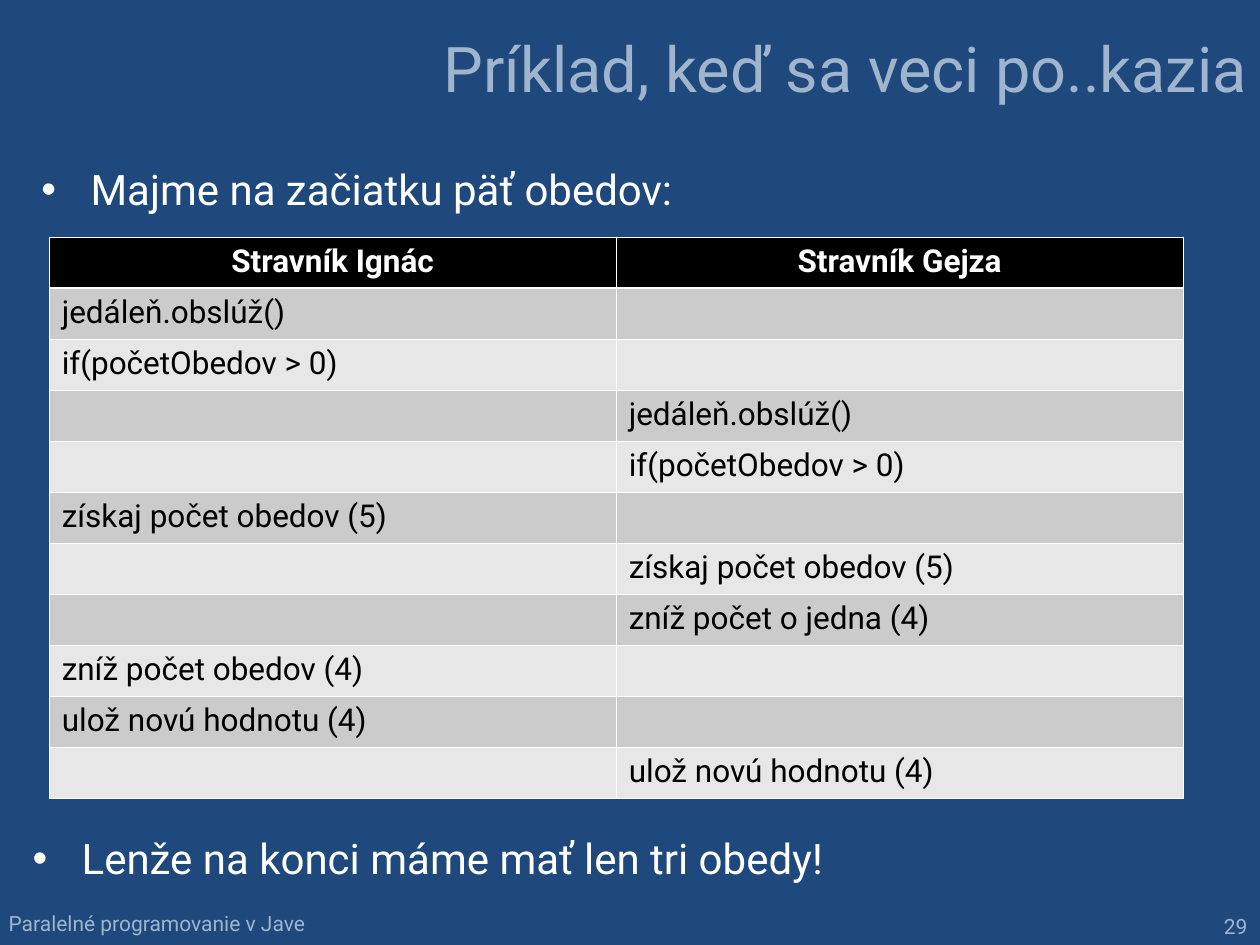
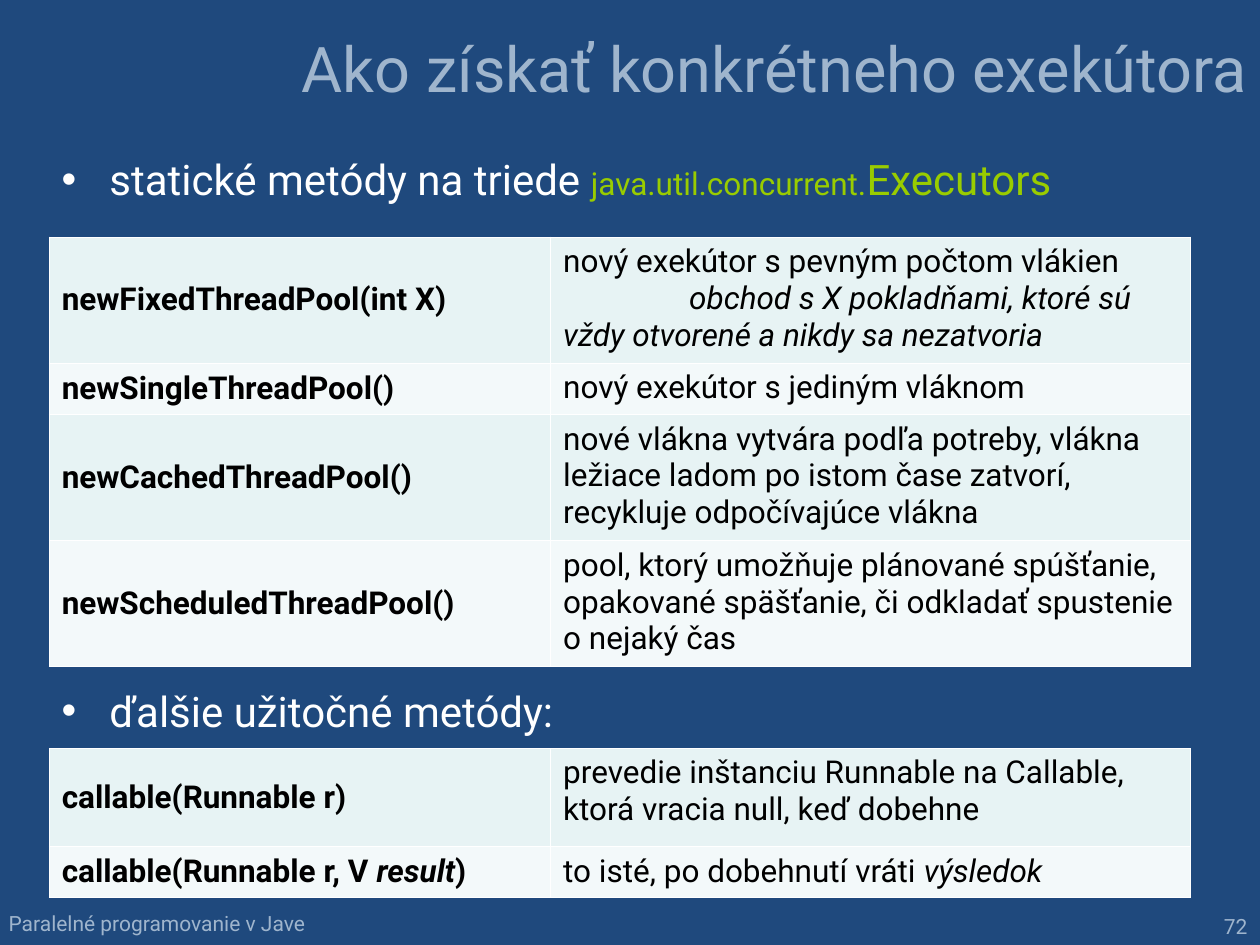
import lxml.etree
import pptx
import pptx.dml.color
import pptx.enum.text
import pptx.oxml.ns
import pptx.util

Inches = pptx.util.Inches
Pt = pptx.util.Pt
RGBColor = pptx.dml.color.RGBColor
ALIGN = pptx.enum.text.PP_ALIGN
ANCHOR = pptx.enum.text.MSO_ANCHOR
qn = pptx.oxml.ns.qn

NAVY = RGBColor(0x1F, 0x49, 0x7D)
MUTED = RGBColor(0x9F, 0xB5, 0xCD)
WHITE = RGBColor(0xFF, 0xFF, 0xFF)
BLACK = RGBColor(0x00, 0x00, 0x00)
GREEN = RGBColor(0x99, 0xCC, 0x00)
GRAY_BANDS = (RGBColor(0xCB, 0xCB, 0xCB), RGBColor(0xE7, 0xE7, 0xE7))
MINT_BANDS = (RGBColor(0xE7, 0xF3, 0xF4), RGBColor(0xF3, 0xF9, 0xFA))

FONT = "Roboto"
COURSE = "Paralelné programovanie v Jave"
THIN, THICK = 0.45, 1.47
TABLE_LEFT, TABLE_TOP = 0.39, 1.88


def write(p, text, size=18, color=BLACK, bold=False, italic=False):
    r = p.add_run()
    r.text = text
    r.font.name = FONT
    r.font.size = Pt(size)
    r.font.color.rgb = color
    r.font.bold = bold
    r.font.italic = italic


def write_runs(p, content, **fmt):
    """Write a string, or a list of (text, own format) pairs, into a paragraph."""
    runs = [(content, {})] if isinstance(content, str) else content
    for text, own in runs:
        write(p, text, **{**fmt, **own})


def set_indent(p, left, first):
    pPr = p._p.get_or_add_pPr()
    pPr.set("marL", str(Inches(left)))
    pPr.set("indent", str(Inches(first)))
    return pPr


def set_border(cell, side, width):
    tcPr = cell._tc.get_or_add_tcPr()
    ln = lxml.etree.SubElement(tcPr, qn("a:ln" + side), w=str(Pt(width)))
    fill = lxml.etree.SubElement(ln, qn("a:solidFill"))
    lxml.etree.SubElement(fill, qn("a:srgbClr"), val=str(WHITE))


class Deck:
    def __init__(self):
        self.prs = pptx.Presentation()
        self.prs.slide_width = Inches(10)
        self.prs.slide_height = Inches(7.5)
        self.s = None

    def add_slide(self, title, number):
        self.s = self.prs.slides.add_slide(self.prs.slide_layouts[6])
        fill = self.s.background.fill
        fill.solid()
        fill.fore_color.rgb = NAVY
        self.text(COURSE, -0.03, 7.18, 2.92, 0.3, size=12, color=MUTED)
        self.text(str(number), 6.97, 7.2, 3.03, 0.33, align=ALIGN.RIGHT,
                  size=12, color=MUTED)
        self.text(title, 1.14, 0, 8.86, 1.07, align=ALIGN.RIGHT,
                  anchor=ANCHOR.MIDDLE, size=36, color=MUTED)

    def text(self, content, left, top, width, height, align=ALIGN.LEFT,
             anchor=ANCHOR.TOP, bullet_indent=None, **fmt):
        sp = self.s.shapes.add_textbox(Inches(left), Inches(top),
                                       Inches(width), Inches(height))
        tf = sp.text_frame
        tf.word_wrap = True
        tf.vertical_anchor = anchor
        p = tf.paragraphs[0]
        p.alignment = align
        if bullet_indent:
            pPr = set_indent(p, bullet_indent, -bullet_indent)
            lxml.etree.SubElement(pPr, qn("a:buFont"), typeface="Arial")
            lxml.etree.SubElement(pPr, qn("a:buChar"), char="•")
        write_runs(p, content, **fmt)

    def bullet(self, content, left, top, width, height=0.7, indent=0.38):
        self.text(content, left, top, width, height, bullet_indent=indent,
                  size=24, color=WHITE)

    def cell(self, cell, paragraphs, fill, align=ALIGN.LEFT,
             anchor=ANCHOR.TOP, top=THIN, bottom=THIN, **fmt):
        """Fill a cell; each paragraph after the first has its first line indented."""
        for side, width in (("L", THIN), ("R", THIN), ("T", top), ("B", bottom)):
            set_border(cell, side, width)
        cell.fill.solid()
        cell.fill.fore_color.rgb = fill
        cell.vertical_anchor = anchor
        cell.margin_left = cell.margin_right = Inches(0.1)
        cell.margin_top = cell.margin_bottom = Inches(0.05)
        tf = cell.text_frame
        for i, content in enumerate(paragraphs):
            p = tf.add_paragraph() if i else tf.paragraphs[0]
            p.alignment = align
            if i:
                set_indent(p, 0, 1)
            if content:
                write_runs(p, content, **fmt)

    def grid(self, top, widths, heights):
        tbl = self.s.shapes.add_table(
            len(heights), len(widths), Inches(TABLE_LEFT), Inches(top),
            Inches(sum(widths)), Inches(sum(heights))).table
        tbl.first_row = tbl.horz_banding = False
        for column, width in zip(tbl.columns, widths):
            column.width = Inches(width)
        for row, height in zip(tbl.rows, heights):
            row.height = Inches(height)
        return tbl

    def timeline(self, actors, steps):
        """Table with a column per actor; each step is (actor index, action)."""
        row_height = 4.46 / (len(steps) + 1)
        tbl = self.grid(TABLE_TOP, [4.5] * len(actors),
                        [row_height] * (len(steps) + 1))
        for col, actor in enumerate(actors):
            self.cell(tbl.cell(0, col), [actor], BLACK, align=ALIGN.CENTER,
                      bottom=THICK, color=WHITE, bold=True)
            for row, (who, action) in enumerate(steps):
                self.cell(tbl.cell(row + 1, col), [action if who == col else ""],
                          GRAY_BANDS[row % 2], top=THIN if row else THICK)

    def methods(self, top, heights, rows):
        """Table of method signatures and their descriptions."""
        tbl = self.grid(top, [3.98, 5.08], heights)
        for i, (signature, *description) in enumerate(rows):
            fill = MINT_BANDS[i % 2]
            self.cell(tbl.cell(i, 0), [signature], fill,
                      anchor=ANCHOR.MIDDLE, bold=True)
            self.cell(tbl.cell(i, 1), description, fill)


def add_race_slide(deck):
    deck.add_slide("Príklad, keď sa veci po..kazia", 29)
    ignac, gejza = 0, 1
    deck.timeline(["Stravník Ignác", "Stravník Gejza"], [
        (ignac, "jedáleň.obslúž()"),
        (ignac, "if(početObedov > 0)"),
        (gejza, "jedáleň.obslúž()"),
        (gejza, "if(početObedov > 0)"),
        (ignac, "získaj počet obedov (5)"),
        (gejza, "získaj počet obedov (5)"),
        (gejza, "zníž počet o jedna (4)"),
        (ignac, "zníž počet obedov (4)"),
        (ignac, "ulož novú hodnotu (4)"),
        (gejza, "ulož novú hodnotu (4)"),
    ])
    deck.bullet("Majme na začiatku päť obedov:", 0.23, 1.25, 9.61, indent=0.39)
    deck.bullet("Lenže na konci máme mať len tri obedy!", 0.16, 6.56, 9.61,
                indent=0.39)


def add_executors_slide(deck):
    deck.add_slide("Ako získať konkrétneho exekútora", 72)
    deck.bullet([("statické metódy na triede ", {}),
                 ("java.util.concurrent.", {"size": 18, "color": GREEN}),
                 ("Executors", {"color": GREEN})], TABLE_LEFT, 1.17, 8.98)
    deck.methods(TABLE_TOP, [1, 0.41, 1, 1], [
        ("newFixedThreadPool(int X)",
         "nový exekútor s pevným počtom vlákien",
         [("obchod s X pokladňami, ktoré sú vždy otvorené a nikdy sa nezatvoria",
           {"italic": True})]),
        ("newSingleThreadPool()", "nový exekútor s jediným vláknom"),
        ("newCachedThreadPool()",
         "nové vlákna vytvára podľa potreby, vlákna ležiace ladom po istom "
         "čase zatvorí, recykluje odpočívajúce vlákna"),
        ("newScheduledThreadPool()",
         "pool, ktorý umožňuje plánované spúšťanie, opakované späšťanie, "
         "či odkladať spustenie o nejaký čas"),
    ])
    deck.bullet("ďalšie užitočné metódy:", TABLE_LEFT, 5.39, 8.98, 0.63)
    deck.methods(5.94, [0.78, 0.4], [
        ("callable(Runnable r)",
         "prevedie inštanciu Runnable na Callable, ktorá vracia null, "
         "keď dobehne"),
        ([("callable(Runnable r, V ", {}), ("result", {"italic": True}), (")", {})],
         [("to isté, po dobehnutí vráti ", {}), ("výsledok", {"italic": True})]),
    ])


def main():
    deck = Deck()
    add_race_slide(deck)
    add_executors_slide(deck)
    deck.prs.save("out.pptx")


if __name__ == "__main__":
    main()
